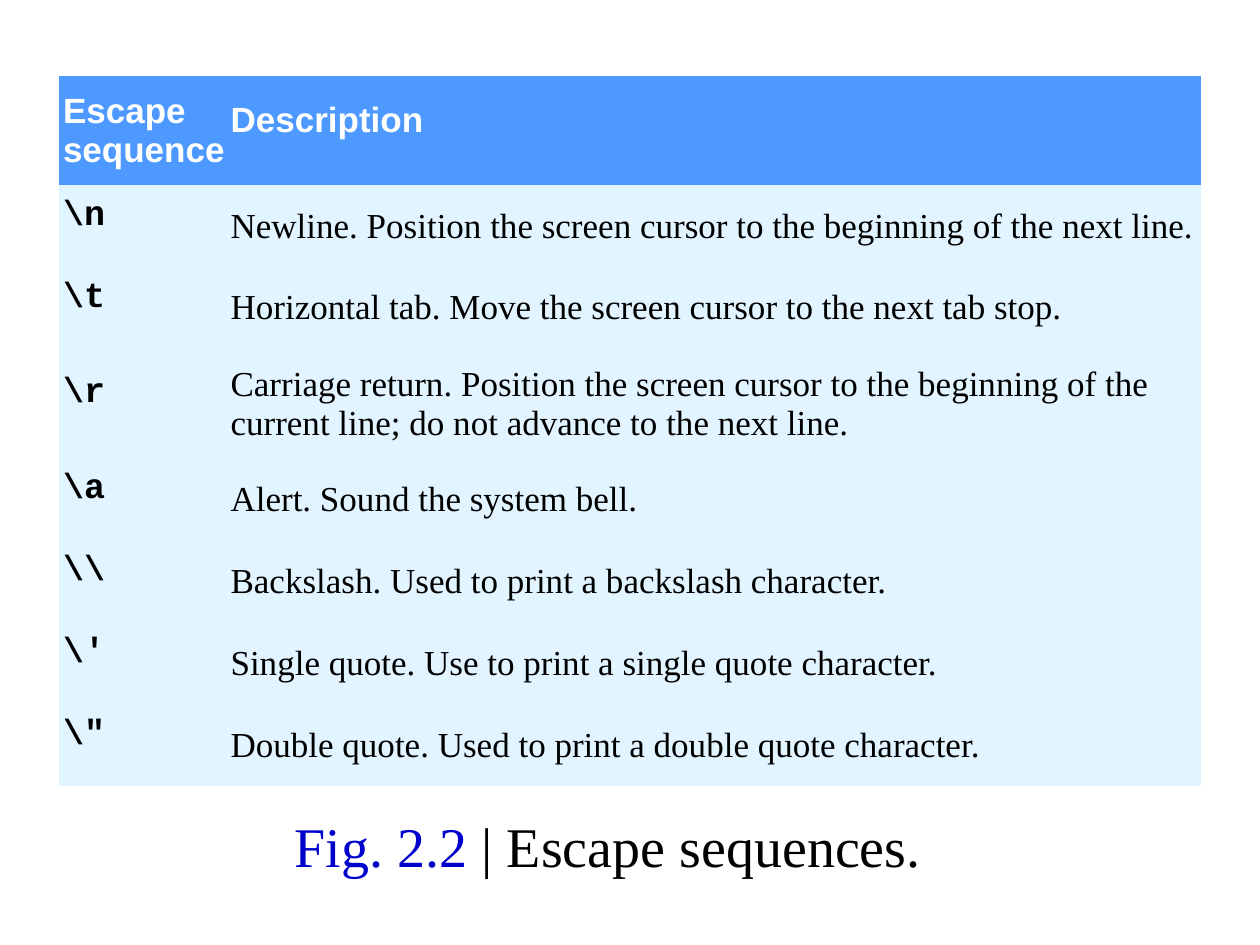
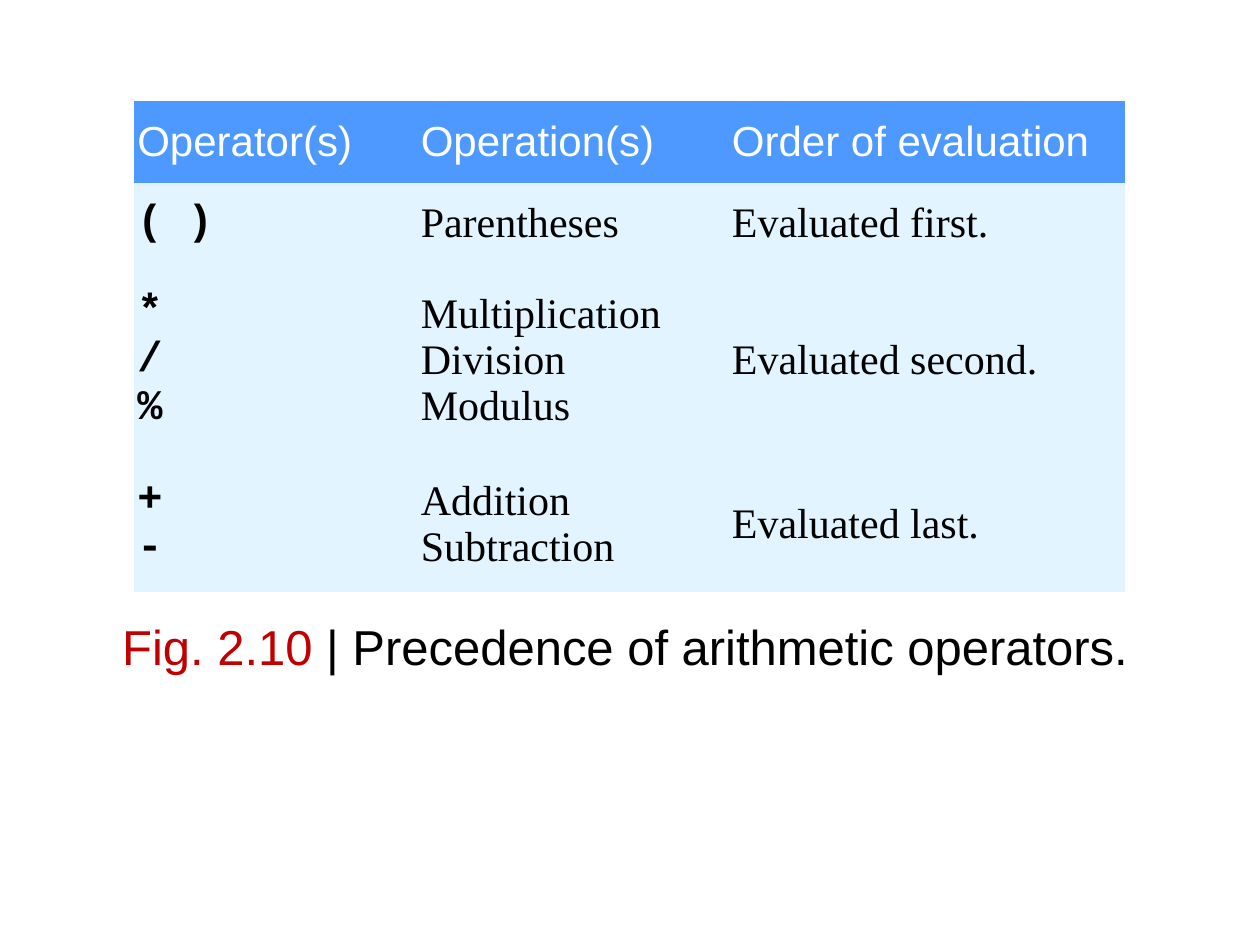
from dataclasses import dataclass

from pptx import Presentation
from pptx.dml.color import RGBColor
from pptx.enum.text import MSO_ANCHOR, MSO_AUTO_SIZE, PP_ALIGN
from pptx.oxml.ns import qn
from pptx.presentation import Presentation as Deck
from pptx.slide import Slide
from pptx.table import _Cell
from pptx.text.text import Font
from pptx.util import Inches, Pt

MIDDLE = MSO_ANCHOR.MIDDLE
NO_AUTOFIT = MSO_AUTO_SIZE.NONE
LEFT = PP_ALIGN.LEFT

TITLE_ONLY_LAYOUT = 5
PLAIN_TABLE_STYLE = "{2D5ABB26-0587-4C30-8999-92F81FD0307C}"
CELL_INDENT = 0.03
CAPTION_HEIGHT = 0.79

COLORS = {
    "header": "4D99FF",
    "body": "E1F4FF",
    "white": "FFFFFF",
    "black": "000000",
    "blue": "0000CC",
    "red": "C00000",
}
HEADING_FONT = "Arial"
CODE_FONT = "Courier New"
BODY_FONT = "Times New Roman"


@dataclass(frozen=True)
class CellStyle:
    font_name: str
    fill: str
    color: str
    bold: bool = False
    line_spacing: int | None = None


@dataclass(frozen=True)
class Caption:
    label: str
    text: str
    left: float
    top: float
    width: float
    font_name: str
    size: int
    label_color: str


@dataclass(frozen=True)
class TableFigure:
    left: float
    top: float
    column_widths: list[float]
    row_heights: list[float]
    rows: list[list[str]]
    size: int
    header_styles: list[CellStyle]
    body_styles: list[CellStyle]
    caption: Caption


BOLD_HEADER = CellStyle(HEADING_FONT, "header", "white", bold=True)
TIGHT_HEADER = CellStyle(HEADING_FONT, "header", "white", bold=True, line_spacing=11)
PLAIN_HEADER = CellStyle(HEADING_FONT, "header", "white")
CODE = CellStyle(CODE_FONT, "body", "black", bold=True)
TIGHT_CODE = CellStyle(CODE_FONT, "body", "black", bold=True, line_spacing=11)
PROSE = CellStyle(BODY_FONT, "body", "black")

ESCAPE_SEQUENCES = TableFigure(
    left=0.47,
    top=0.6,
    column_widths=[1.33, 7.73],
    row_heights=[0.87, 0.65, 0.65, 0.87] + [0.65] * 4,
    rows=[
        ["Escape sequence", "Description"],
        [r"\n", "Newline. Position the screen cursor to the beginning of the next line."],
        [r"\t", "Horizontal tab. Move the screen cursor to the next tab stop."],
        [r"\r", "Carriage return. Position the screen cursor to the beginning of the "
                "current line; do not advance to the next line."],
        [r"\a", "Alert. Sound the system bell."],
        [r"\\", "Backslash. Used to print a backslash character."],
        [r"\'", "Single quote. Use to print a single quote character."],
        [r"\"", "Double quote. Used to print a double quote character."],
    ],
    size=20,
    header_styles=[BOLD_HEADER, TIGHT_HEADER],
    body_styles=[TIGHT_CODE, PROSE],
    caption=Caption("Fig. 2.2 ", "| Escape sequences.",
                    2.24, 6.31, 5.51, BODY_FONT, 32, "blue"),
)

OPERATOR_PRECEDENCE = TableFigure(
    left=1.06,
    top=0.8,
    column_widths=[2.25, 2.47, 3.15],
    row_heights=[0.65, 0.65, 1.52, 1.08],
    rows=[
        ["Operator(s)", "Operation(s)", "Order of evaluation"],
        ["( )", "Parentheses", "Evaluated first."],
        ["*\n/\n%", "Multiplication\nDivision\nModulus", "Evaluated second."],
        ["+\n-", "Addition\nSubtraction", "Evaluated last."],
    ],
    size=24,
    header_styles=[PLAIN_HEADER] * 3,
    body_styles=[CODE, PROSE, PROSE],
    caption=Caption("Fig. 2.10 ", "| Precedence of arithmetic operators.",
                    0.87, 4.73, 8.27, HEADING_FONT, 28, "red"),
)


def rgb(name: str) -> RGBColor:
    return RGBColor.from_string(COLORS[name])


def set_font(font: Font, name: str, size: int, bold: bool = False) -> None:
    font.name = name
    font.size = Pt(size)
    font.bold = bold


def fill_cell(cell: _Cell, text: str, style: CellStyle, size: int) -> None:
    cell.margin_left = Inches(CELL_INDENT)
    cell.margin_right = cell.margin_top = cell.margin_bottom = 0
    cell.vertical_anchor = MIDDLE
    cell.fill.solid()
    cell.fill.fore_color.rgb = rgb(style.fill)
    cell.text = text
    for paragraph in cell.text_frame.paragraphs:
        if style.line_spacing:
            paragraph.line_spacing = Pt(style.line_spacing)
        set_font(paragraph.font, style.font_name, size, style.bold)
        paragraph.font.color.rgb = rgb(style.color)


def add_figure_table(slide: Slide, figure: TableFigure) -> None:
    frame = slide.shapes.add_table(
        len(figure.row_heights), len(figure.column_widths),
        Inches(figure.left), Inches(figure.top),
        Inches(sum(figure.column_widths)), Inches(sum(figure.row_heights)),
    )
    frame.element.find(".//" + qn("a:tableStyleId")).text = PLAIN_TABLE_STYLE
    table = frame.table
    table.horz_banding = False
    for column, width in zip(table.columns, figure.column_widths):
        column.width = Inches(width)
    for row_index, (row, height) in enumerate(zip(table.rows, figure.row_heights)):
        row.height = Inches(height)
        styles = figure.body_styles if row_index else figure.header_styles
        for cell, text, style in zip(row.cells, figure.rows[row_index], styles):
            fill_cell(cell, text, style, figure.size)


def set_caption(slide: Slide, caption: Caption) -> None:
    title = slide.shapes.title
    title.left, title.top = Inches(caption.left), Inches(caption.top)
    title.width, title.height = Inches(caption.width), Inches(CAPTION_HEIGHT)
    text_frame = title.text_frame
    text_frame.word_wrap = True
    text_frame.auto_size = NO_AUTOFIT
    text_frame.vertical_anchor = MIDDLE
    paragraph = text_frame.paragraphs[0]
    paragraph.alignment = LEFT
    set_font(paragraph.font, caption.font_name, caption.size)
    for text, color in ((caption.label, caption.label_color), (caption.text, "black")):
        run = paragraph.add_run()
        run.text = text
        run.font.color.rgb = rgb(color)


def add_figure_slide(presentation: Deck, figure: TableFigure) -> None:
    slide = presentation.slides.add_slide(presentation.slide_layouts[TITLE_ONLY_LAYOUT])
    add_figure_table(slide, figure)
    set_caption(slide, figure.caption)


def main() -> None:
    presentation = Presentation()
    presentation.slide_width = Inches(10)
    presentation.slide_height = Inches(7.5)
    for figure in (ESCAPE_SEQUENCES, OPERATOR_PRECEDENCE):
        add_figure_slide(presentation, figure)
    presentation.save("out.pptx")


if __name__ == "__main__":
    main()
